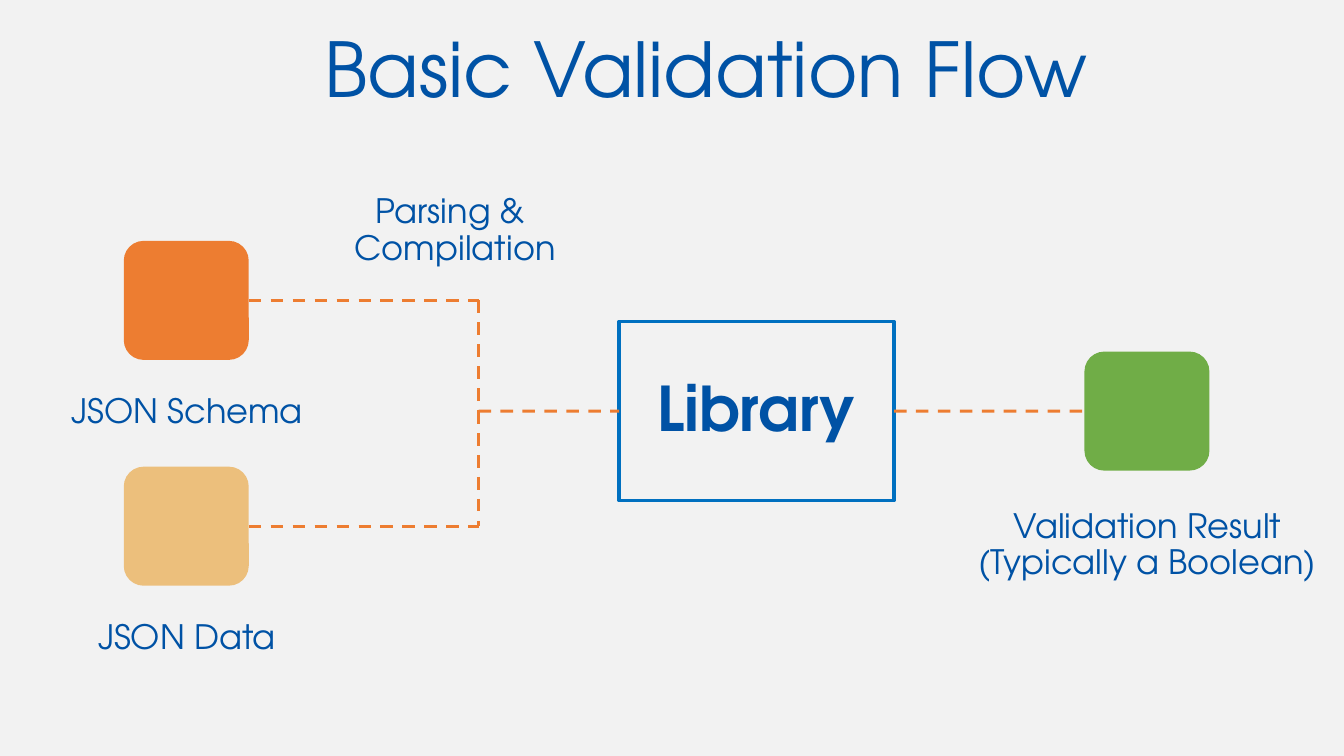
"""Build the Basic Validation Flow slide."""
from dataclasses import dataclass
from typing import Optional

import pptx
import pptx.dml.color
import pptx.enum.dml
import pptx.enum.shapes
import pptx.enum.text
import pptx.oxml
import pptx.oxml.ns
import pptx.shapes.autoshape
import pptx.shapes.connector
import pptx.slide
import pptx.text.text
import pptx.util

Cm = pptx.util.Cm
Pt = pptx.util.Pt
RGBColor = pptx.dml.color.RGBColor
Presets = pptx.enum.shapes.MSO_SHAPE

BACKGROUND = RGBColor(0xF2, 0xF2, 0xF2)
INK = RGBColor(0x00, 0x52, 0xA5)
LIBRARY_EDGE = RGBColor(0x00, 0x70, 0xC0)
ORANGE = RGBColor(0xED, 0x7D, 0x31)
SAND = RGBColor(0xEC, 0xBF, 0x7C)
GREEN = RGBColor(0x70, 0xAD, 0x47)

FONT = "TeX Gyre Adventor"
LINE_WIDTH = Pt(2.25)
TILE_WIDTH, TILE_HEIGHT = 3.15, 3.0
CAPTION_HEIGHT = 3.07
JUNCTION_X = 12.06
SCHEMA_Y, LIBRARY_Y, DATA_Y = 7.57, 10.36, 13.26


@dataclass(frozen=True)
class Tile:
    left: float
    middle: float
    color: RGBColor


@dataclass(frozen=True)
class Caption:
    lines: tuple[str, ...]
    left: float
    top: float
    width: float = 9.93


@dataclass(frozen=True)
class Link:
    start: tuple[float, float]
    end: tuple[float, float]
    source: Optional[pptx.shapes.autoshape.Shape] = None
    target: Optional[pptx.shapes.autoshape.Shape] = None


SCHEMA = Tile(3.12, SCHEMA_Y, ORANGE)
DATA = Tile(3.12, DATA_Y, SAND)
RESULT = Tile(27.33, LIBRARY_Y, GREEN)

CAPTIONS = (
    Caption(("JSON Data",), 1.14, 14.55, 7.14),
    Caption(("JSON Schema",), -0.25, 8.86),
    Caption(("Parsing & ", "Compilation"), 6.5, 4.29),
    Caption(("Validation Result", "(Typically a Boolean)"), 23.95, 12.22),
)


def write(frame: pptx.text.text.TextFrame, lines: tuple[str, ...],
          size: int, bold: bool = False) -> None:
    """Fill a frame with centred lines."""
    frame.word_wrap = True
    frame.auto_size = pptx.enum.text.MSO_AUTO_SIZE.NONE
    frame.vertical_anchor = pptx.enum.text.MSO_ANCHOR.MIDDLE
    for index, line in enumerate(lines):
        paragraph = frame.add_paragraph() if index else frame.paragraphs[0]
        paragraph.alignment = pptx.enum.text.PP_ALIGN.CENTER
        paragraph.line_spacing = 0.9
        run = paragraph.add_run()
        run.text = line
        run.font.name = FONT
        run.font.size = Pt(size)
        run.font.bold = bold
        run.font.color.rgb = INK


def add_tile(slide: pptx.slide.Slide, tile: Tile) -> pptx.shapes.autoshape.Shape:
    """Draw a rounded tile."""
    square = slide.shapes.add_shape(
        Presets.ROUNDED_RECTANGLE, Cm(tile.left), Cm(tile.middle - TILE_HEIGHT / 2),
        Cm(TILE_WIDTH), Cm(TILE_HEIGHT))
    square.shadow.inherit = False
    square.fill.solid()
    square.fill.fore_color.rgb = tile.color
    square.line.fill.background()
    return square


def add_library(slide: pptx.slide.Slide) -> pptx.shapes.autoshape.Shape:
    """Draw the outlined library box."""
    height = 4.52
    library = slide.shapes.add_shape(
        Presets.RECTANGLE, Cm(15.6), Cm(LIBRARY_Y - height / 2), Cm(6.93), Cm(height))
    library.shadow.inherit = False
    library.fill.background()
    library.line.color.rgb = LIBRARY_EDGE
    library.line.width = LINE_WIDTH
    write(library.text_frame, ("Library",), 44, bold=True)
    return library


def add_caption(slide: pptx.slide.Slide, caption: Caption) -> None:
    """Place a caption."""
    label = slide.shapes.add_textbox(
        Cm(caption.left), Cm(caption.top), Cm(caption.width), Cm(CAPTION_HEIGHT))
    write(label.text_frame, caption.lines, 24)


def add_link(slide: pptx.slide.Slide, link: Link) -> None:
    """Draw a dashed line, joined to its shapes."""
    dashes = slide.shapes.add_connector(
        pptx.enum.shapes.MSO_CONNECTOR.STRAIGHT,
        *(Cm(length) for length in link.start + link.end))
    if link.source is not None:
        dashes.begin_connect(link.source, 3)
    if link.target is not None:
        dashes.end_connect(link.target, 1)
    dashes.line.color.rgb = ORANGE
    dashes.line.width = LINE_WIDTH
    dashes.line.dash_style = pptx.enum.dml.MSO_LINE.DASH
    dashes._element.spPr.append(pptx.oxml.parse_xml(
        f"<a:effectLst {pptx.oxml.ns.nsdecls('a')}/>"))


def main() -> None:
    """Assemble and save the slide."""
    deck = pptx.Presentation()
    deck.slide_width, deck.slide_height = Cm(33.87), Cm(19.05)
    slide = deck.slides.add_slide(deck.slide_layouts[5])
    slide.background.fill.solid()
    slide.background.fill.fore_color.rgb = BACKGROUND

    heading = slide.shapes.title
    heading.left, heading.top = Cm(3.18), Cm(0)
    heading.width, heading.height = Cm(29.21), Cm(3.68)
    write(heading.text_frame, ("Basic Validation Flow",), 54)

    library = add_library(slide)
    schema, data, result = (add_tile(slide, tile) for tile in (SCHEMA, DATA, RESULT))
    for caption in CAPTIONS:
        add_caption(slide, caption)

    schema_corner = (JUNCTION_X, SCHEMA_Y)
    data_corner = (JUNCTION_X, DATA_Y)
    junction = (JUNCTION_X, LIBRARY_Y)
    tiles_right = SCHEMA.left + TILE_WIDTH
    links = (
        Link((tiles_right, SCHEMA_Y), schema_corner, source=schema),
        Link((tiles_right, DATA_Y), data_corner, source=data),
        Link(schema_corner, junction),
        Link(junction, data_corner),
        Link(junction, (15.6, LIBRARY_Y), target=library),
        Link((22.53, LIBRARY_Y), (RESULT.left, LIBRARY_Y), source=library, target=result),
    )
    for link in links:
        add_link(slide, link)

    deck.save("out.pptx")


if __name__ == "__main__":
    main()
